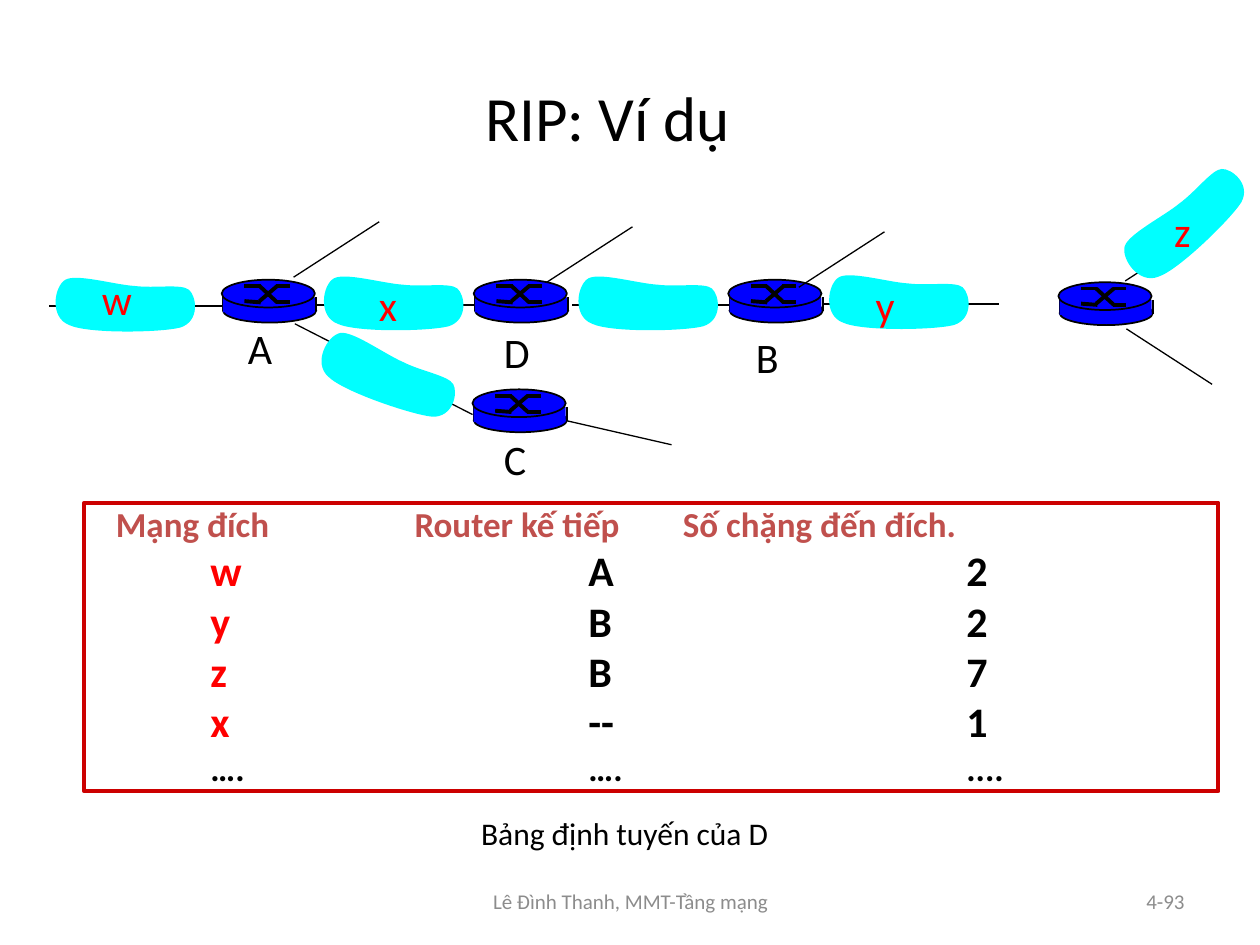
from dataclasses import dataclass

from lxml.etree import SubElement
from pptx import Presentation
from pptx.dml.color import RGBColor
from pptx.enum.shapes import MSO_CONNECTOR, MSO_SHAPE
from pptx.enum.text import MSO_ANCHOR, MSO_AUTO_SIZE, PP_ALIGN
from pptx.oxml.ns import qn
from pptx.util import Cm, Pt


@dataclass(frozen=True)
class Theme:
    font: str = "Calibri"
    ink: str = "000000"
    footer: str = "8C8C8C"
    network: str = "00FFFF"
    router: str = "0000FF"
    network_name: str = "FF0000"
    header: str = "C0504D"
    frame: str = "CC0000"
    title_size: int = 36
    label_size: int = 24
    header_size: int = 20
    caption_size: int = 18
    footer_size: int = 12
    thin: float = 0.75
    normal: float = 1
    thick: float = 2.25


THEME = Theme()

# Content; all positions are in grid units of 2.54 cm
GRID = 2.54
TITLE = "RIP: Ví dụ"
CAPTION = "Bảng định tuyến của D"
FOOTER = "Lê Đình Thanh, MMT-Tầng mạng"
PAGE = "4-93"

HEADINGS = ("Mạng đích", "Router kế tiếp", "Số chặng đến đích.")
ROUTES = [("w", "A", "2"), ("y", "B", "2"), ("z", "B", "7"), ("x", "--", "1")]
MORE_ROUTES = ("….", "….", "....")
HEADING_STOPS = (0.25, 2.62, 4.75)
ROUTE_STOPS = (1, 4, 7)

ROUTERS = [(3.76, 2.22), (1.76, 2.22), (3.75, 3.09), (5.78, 2.22), (8.4, 2.24)]
NETWORKS = [  # left, top, rotation
    (2.52, 2.16, 0), (2.48, 2.74, 19.7), (0.39, 2.17, 0),
    (4.54, 2.16, 0), (6.53, 2.15, 0), (8.8, 1.53, 316.8),
]
LINKS = [(0.39, 2.43), (2.52, 2.42), (4.54, 2.42), (6.53, 2.41)]
LINK_LENGTH = 1.4
UP_STUBS = [(2.33, 2.2), (4.34, 2.24), (6.34, 2.28), (8.93, 2.23)]
STUB_RUN, STUB_RISE = 0.68, 0.44
OTHER_STUBS = [
    (8.94, 2.61, 9.62, 3.05), (2.34, 2.57, 3.75, 3.29), (4.5, 3.34, 5.33, 3.53),
]
NETWORK_NAMES = [
    ("w", 0.71, 2.12, 0.43), ("x", 2.91, 2.17, 0.4),
    ("y", 6.85, 2.17, 0.38), ("z", 9.22, 1.58, 0.38),
]
ROUTER_NAMES = [
    ("A", 1.87, 2.51, 0.44), ("C", 3.9, 3.39, 0.4),
    ("D", 3.9, 2.54, 0.44), ("B", 5.9, 2.58, 0.41),
]

# Outline of a network: start, then control points in threes
CLOUD = [
    (0.68, 0.1),
    (0.52, 0.09), (0.22, 0), (0.13, 0.05),
    (0.04, 0.1), (0, 0.35), (0.16, 0.41),
    (0.31, 0.48), (0.88, 0.47), (1.04, 0.43),
    (1.2, 0.38), (1.17, 0.18), (1.11, 0.13),
    (1.05, 0.08), (0.84, 0.12), (0.68, 0.1),
]
# Crossed arrows on a router: two mirrored strokes
CROSS = [
    [(0.18, 0.05), (0.31, 0.05)], [(0.3, 0.05), (0.44, 0.18)],
    [(0.43, 0.18), (0.54, 0.18)], [(0.18, 0.17), (0.31, 0.18)],
    [(0.3, 0.17), (0.44, 0.05)], [(0.43, 0.05), (0.54, 0.05)],
]


def grid(*values):
    return [Cm(value * GRID) for value in values]


def style_run(run, size, color, bold=False):
    run.font.name = THEME.font
    run.font.size = Pt(size)
    run.font.bold = bold
    run.font.color.rgb = RGBColor.from_string(color)


def add_text(shapes, text, box, size, color, align=PP_ALIGN.LEFT, fit=False):
    frame = shapes.add_textbox(*grid(*box)).text_frame
    frame.text = text
    frame.word_wrap = not fit
    if fit:
        frame.auto_size = MSO_AUTO_SIZE.SHAPE_TO_FIT_TEXT
    else:
        frame.vertical_anchor = MSO_ANCHOR.MIDDLE
    frame.paragraphs[0].alignment = align
    style_run(frame.paragraphs[0].runs[0], size, color)


def add_line(shapes, x1, y1, x2, y2, width):
    line = shapes.add_connector(MSO_CONNECTOR.STRAIGHT, *grid(x1, y1, x2, y2))
    line.line.color.rgb = RGBColor.from_string(THEME.ink)
    line.line.width = Pt(width)
    SubElement(line._element.spPr, qn("a:effectLst"))


def paint(shape, fill=None, line=None, width=THEME.normal):
    shape.shadow.inherit = False
    if fill:
        shape.fill.solid()
        shape.fill.fore_color.rgb = RGBColor.from_string(fill)
    else:
        shape.fill.background()
    if line:
        shape.line.color.rgb = RGBColor.from_string(line)
        shape.line.width = Pt(width)
    else:
        shape.line.fill.background()


def add_router(slide, left, top):
    parts = slide.shapes.add_group_shape().shapes

    def body(preset, x, y, width, height, line=THEME.ink):
        part = parts.add_shape(preset, *grid(left + x, top + y, width, height))
        paint(part, THEME.router, line)

    body(MSO_SHAPE.OVAL, 0.01, 0.15, 0.74, 0.19)
    for side in (0.01, 0.75):
        add_line(parts, left + side, top + 0.14, left + side, top + 0.25, THEME.normal)
    body(MSO_SHAPE.RECTANGLE, 0.01, 0.14, 0.73, 0.12, line=None)
    body(MSO_SHAPE.OVAL, 0, 0, 0.74, 0.22)
    for (x1, y1), (x2, y2) in CROSS:
        add_line(parts, left + x1, top + y1, left + x2, top + y2, THEME.thick)


def add_network(slide, left, top, rotation):
    points = [grid(left + x, top + y) for x, y in CLOUD]
    builder = slide.shapes.build_freeform(*points[0])
    builder.add_line_segments(points[1:], close=True)
    network = builder.convert_to_shape()
    # Turn each three straight segments into one curve
    segments = list(network._element.iter(qn("a:lnTo")))
    for first in range(0, len(segments), 3):
        curve = segments[first].makeelement(qn("a:cubicBezTo"))
        segments[first].addprevious(curve)
        for segment in segments[first:first + 3]:
            curve.append(segment[0])
            segment.getparent().remove(segment)
    paint(network, THEME.network)
    network.rotation = rotation


def add_row(paragraph, cells, stops, size, colors):
    paragraph.alignment = PP_ALIGN.LEFT
    tabs = SubElement(paragraph._p.get_or_add_pPr(), qn("a:tabLst"))
    for stop in grid(*stops):
        SubElement(tabs, qn("a:tab"), pos=str(stop), algn="l")
    for cell, color in zip(cells, colors):
        run = paragraph.add_run()
        run.text = "\t" + cell
        style_run(run, size, color, bold=True)


def add_routing_table(slide):
    table = slide.shapes.add_shape(MSO_SHAPE.RECTANGLE, *grid(0.67, 3.99, 9, 2.29))
    paint(table, line=THEME.frame, width=THEME.thick)
    frame = table.text_frame
    frame.margin_left = frame.margin_right = frame.margin_top = frame.margin_bottom = 0
    frame.word_wrap = True
    frame.auto_size = MSO_AUTO_SIZE.SHAPE_TO_FIT_TEXT
    frame.vertical_anchor = MSO_ANCHOR.TOP
    add_row(frame.paragraphs[0], HEADINGS, HEADING_STOPS, THEME.header_size, [THEME.header] * 3)
    for route in ROUTES:
        add_row(frame.add_paragraph(), route, ROUTE_STOPS, THEME.label_size,
                [THEME.network_name, THEME.ink, THEME.ink])
    add_row(frame.add_paragraph(), MORE_ROUTES, ROUTE_STOPS, THEME.header_size, [THEME.ink] * 3)


def main():
    deck = Presentation()
    deck.slide_width, deck.slide_height = grid(10, 7.5)
    slide = deck.slides.add_slide(deck.slide_layouts[6])
    shapes = slide.shapes

    # Title and footer
    add_text(shapes, TITLE, (0.57, 0.3, 8.5, 1.25), THEME.title_size, THEME.ink, PP_ALIGN.CENTER)
    add_text(shapes, FOOTER, (3.42, 6.95, 3.17, 0.4), THEME.footer_size, THEME.footer, PP_ALIGN.CENTER)
    add_text(shapes, PAGE, (7.17, 6.95, 2.33, 0.4), THEME.footer_size, THEME.footer, PP_ALIGN.RIGHT)

    # Network diagram
    for x, y in LINKS:
        add_line(shapes, x, y, x + LINK_LENGTH, y, THEME.normal)
    for router in ROUTERS:
        add_router(slide, *router)
    up_stubs = [(x, y, x + STUB_RUN, y - STUB_RISE) for x, y in UP_STUBS]
    for stub in up_stubs + OTHER_STUBS:
        add_line(shapes, *stub, THEME.thin)
    for network in NETWORKS:
        add_network(slide, *network)
    for names, color in ((NETWORK_NAMES, THEME.network_name), (ROUTER_NAMES, THEME.ink)):
        for name, left, top, width in names:
            add_text(shapes, name, (left, top, width, 0.5), THEME.label_size, color, fit=True)

    # Routing table with its caption
    add_routing_table(slide)
    add_text(shapes, CAPTION, (3.72, 6.41, 2.73, 0.4), THEME.caption_size, THEME.ink, fit=True)

    deck.save("out.pptx")


if __name__ == "__main__":
    main()
